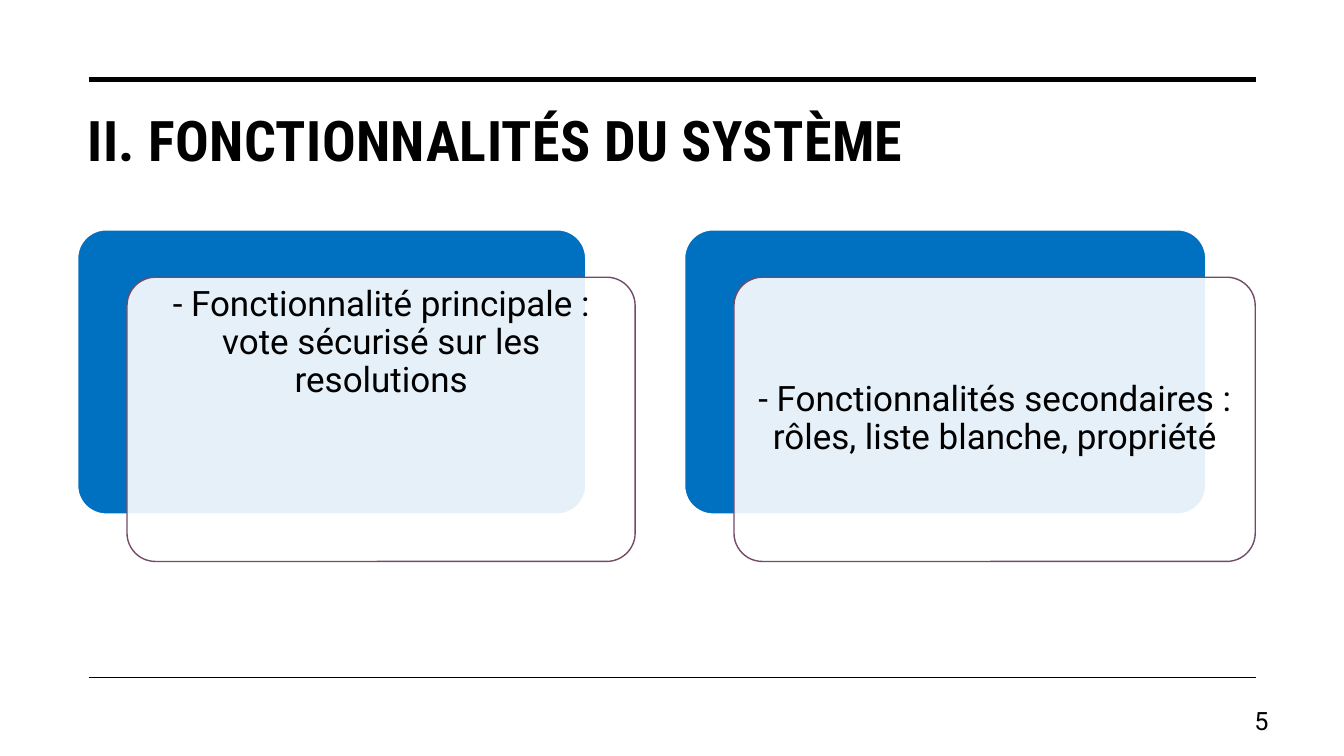
"""Build the slide on the features of the voting system."""
from lxml.etree import SubElement
from pptx import Presentation
from pptx.dml.color import RGBColor
from pptx.enum.shapes import MSO_CONNECTOR, MSO_SHAPE
from pptx.enum.text import MSO_ANCHOR as Anchor, PP_ALIGN as Align
from pptx.oxml.ns import qn
from pptx.util import Inches, Pt

TITLE = "II. FONCTIONNALITÉS DU SYSTÈME"
PAGE_NUMBER = "5"
FEATURES = [
    {"text": "- Fonctionnalité principale : vote sécurisé sur les resolutions",
     "left": 0.77, "width": 5.04, "anchor": Anchor.TOP, "inset_y": 0.01},
    {"text": "- Fonctionnalités secondaires : rôles, liste blanche, propriété",
     "left": 6.79, "width": 5.17, "anchor": Anchor.MIDDLE, "inset_y": 0.1},
]
RULES = [(0.79, 3.5), (6.72, 1)]
RULE_LEFT, RULE_RIGHT = 0.88, 12.46
CARD_TOP, CARD_HEIGHT = 2.28, 2.82
OFFSET_X, OFFSET_Y = 0.49, 0.47
TEXT_MARGIN = 0.08
COLORS = {"ink": "000000", "paper": "FFFFFF", "blue": "0070C0", "plum": "734B67"}


def color(name):
    return RGBColor.from_string(COLORS[name])


def add_text(slide, text, box, *, size, font="Roboto", bold=False, align=Align.LEFT,
             anchor=Anchor.TOP, inset_y=0.05, line_spacing=None, tracking=None):
    frame = slide.shapes.add_textbox(*map(Inches, box)).text_frame
    frame.word_wrap = True
    frame.vertical_anchor = anchor
    frame.margin_top = frame.margin_bottom = Inches(inset_y)
    paragraph = frame.paragraphs[0]
    paragraph.alignment = align
    if line_spacing:
        paragraph.line_spacing = line_spacing
    run = paragraph.add_run()
    run.text = text
    run.font.name, run.font.size, run.font.bold = font, Pt(size), bold
    run.font.color.rgb = color("ink")
    if tracking:
        run.font._element.set("spc", str(tracking))


def add_rule(slide, y, weight):
    rule = slide.shapes.add_connector(
        MSO_CONNECTOR.STRAIGHT, *map(Inches, (RULE_LEFT, y, RULE_RIGHT, y)))
    rule.line.color.rgb = color("ink")
    rule.line.width = Pt(weight)
    SubElement(rule._element.spPr, qn("a:effectLst"))


def add_panel(slide, box, fill, outline, opacity=None):
    panel = slide.shapes.add_shape(MSO_SHAPE.ROUNDED_RECTANGLE, *map(Inches, box))
    panel.adjustments[0] = 0.1
    panel.shadow.inherit = False
    panel.fill.solid()
    panel.fill.fore_color.rgb = color(fill)
    panel.line.color.rgb = color(outline)
    panel.line.width = Pt(1)
    if opacity:
        tint = panel._element.spPr.find(qn("a:solidFill")).find(qn("a:srgbClr"))
        SubElement(tint, qn("a:alpha"), val=str(opacity * 1000))


def add_feature(slide, text, left, width, anchor, inset_y):
    front_left, front_top = left + OFFSET_X, CARD_TOP + OFFSET_Y
    add_panel(slide, (left, CARD_TOP, width, CARD_HEIGHT), "blue", "paper")
    add_panel(slide, (front_left, front_top, width, CARD_HEIGHT), "paper", "plum", 90)
    text_box = (front_left + TEXT_MARGIN, front_top + TEXT_MARGIN,
                width - 2 * TEXT_MARGIN, CARD_HEIGHT - 2 * TEXT_MARGIN)
    add_text(slide, text, text_box, size=25, align=Align.CENTER, anchor=anchor,
             inset_y=inset_y, line_spacing=0.9)


def main():
    deck = Presentation()
    deck.slide_width, deck.slide_height = Inches(13.33), Inches(7.5)
    slide = deck.slides.add_slide(deck.slide_layouts[6])
    for y, weight in RULES:
        add_rule(slide, y, weight)
    add_text(slide, TITLE, (0.77, 1, 11.69, 1.43), size=40,
             font="Roboto Condensed", bold=True, tracking=30)
    for feature in FEATURES:
        add_feature(slide, **feature)
    add_text(slide, PAGE_NUMBER, (11.94, 6.95, 0.74, 0.4), size=18,
             align=Align.RIGHT, anchor=Anchor.MIDDLE)
    deck.save("out.pptx")


if __name__ == "__main__":
    main()
